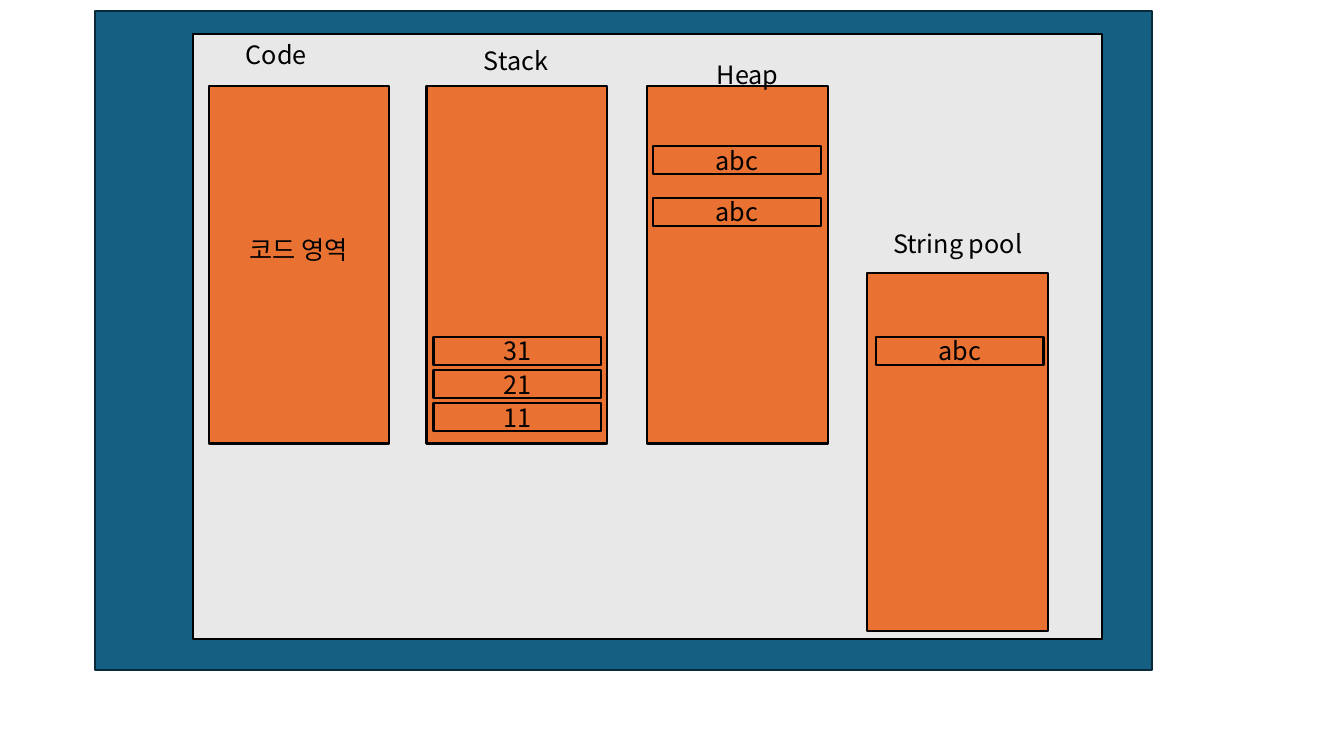
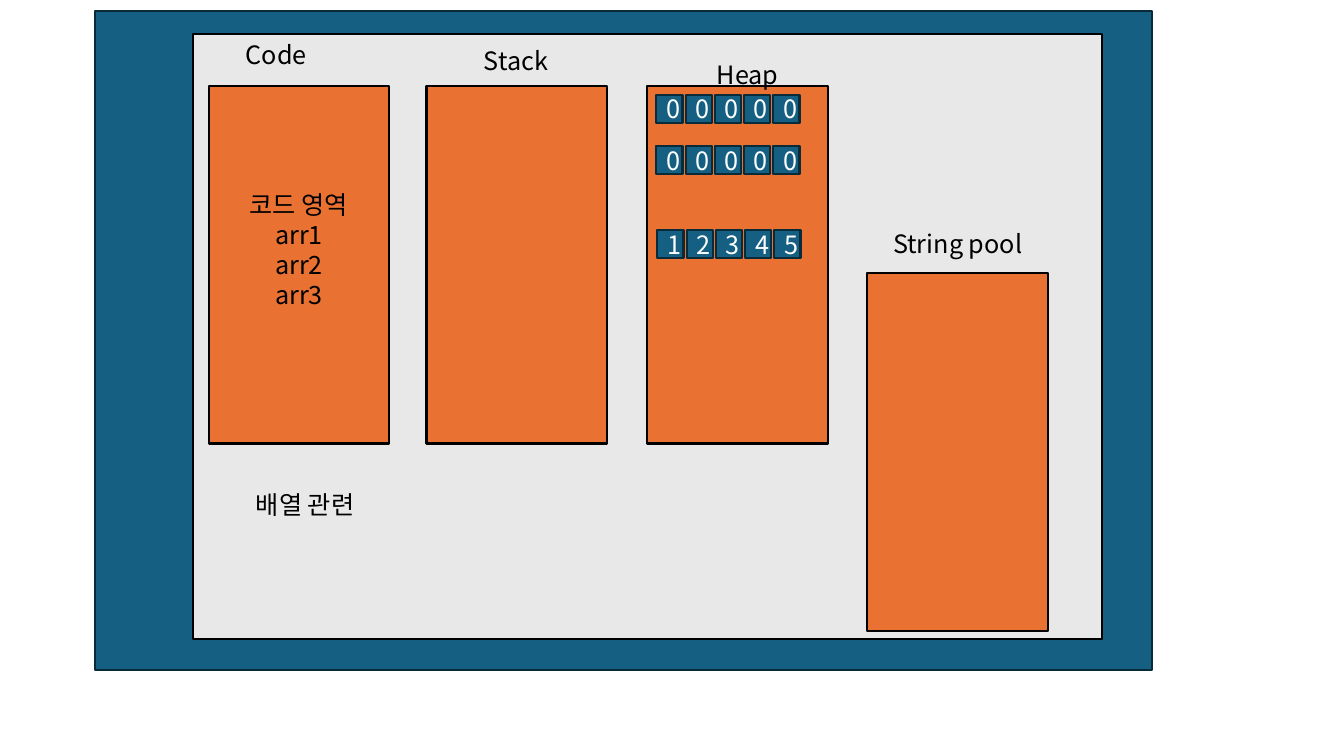
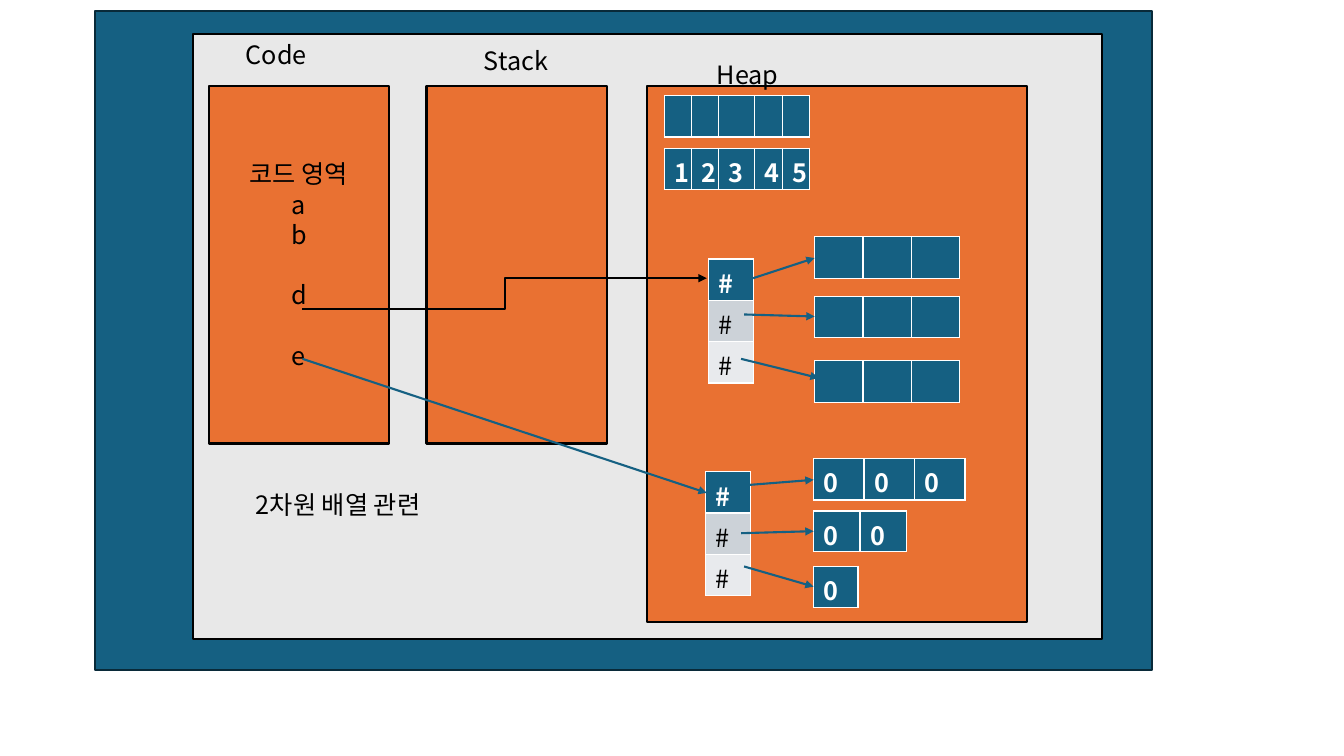
from lxml import etree
from pptx import Presentation
from pptx.dml.color import RGBColor
from pptx.enum.shapes import MSO_CONNECTOR, MSO_SHAPE
from pptx.enum.text import MSO_ANCHOR, MSO_AUTO_SIZE, PP_ALIGN
from pptx.oxml.ns import qn
from pptx.util import Inches, Pt

BLUE = RGBColor(0x15, 0x60, 0x82)
NAVY = RGBColor(0x09, 0x2A, 0x39)
ORANGE = RGBColor(0xE9, 0x71, 0x32)
PALE = RGBColor(0xE8, 0xE8, 0xE8)
BAND_DARK = RGBColor(0xCC, 0xD2, 0xD8)
BAND_LIGHT = RGBColor(0xE8, 0xEA, 0xED)
BLACK = RGBColor(0, 0, 0)
WHITE = RGBColor(0xFF, 0xFF, 0xFF)

RECTANGLE = MSO_SHAPE.RECTANGLE
STRAIGHT = MSO_CONNECTOR.STRAIGHT
ELBOW = MSO_CONNECTOR.ELBOW
CENTER = PP_ALIGN.CENTER
MIDDLE = MSO_ANCHOR.MIDDLE
FIT_TEXT = MSO_AUTO_SIZE.SHAPE_TO_FIT_TEXT

FONT = "Noto Sans CJK KR"
TEXT_SIZE = Pt(18)
LINE_WIDTH = Pt(1.5)
TEXT_LINE = 0.3
AREA_WIDTH, AREA_HEIGHT, AREA_TOP = 1.79, 3.55, 0.85
CODE_LEFT, STACK_LEFT, HEAP_LEFT = 2.07, 4.23, 6.42
POOL_LEFT, POOL_TOP = 8.6, 2.71
SLOT_WIDTH, SLOT_HEIGHT = 1.66, 0.28
ELEMENT_WIDTH, ELEMENT_PITCH = 0.26, 0.29
ROW_HEIGHT = 0.41


def style_text(frame, color, bold=False):
    for para in frame.paragraphs:
        for span in para.runs:
            span.font.size = TEXT_SIZE
            span.font.bold = bold
            span.font.color.rgb = color
            span.font.name = FONT
            east_asian = etree.SubElement(span.font._element, qn("a:ea"))
            east_asian.set("typeface", FONT)


def add_box(page, left, top, width, height, fill, line=BLACK, text="", color=BLACK):
    box = page.shapes.add_shape(
        RECTANGLE, Inches(left), Inches(top), Inches(width), Inches(height))
    box.shadow.inherit = False
    box.fill.solid()
    box.fill.fore_color.rgb = fill
    box.line.color.rgb = line
    box.line.width = LINE_WIDTH
    if text:
        frame = box.text_frame
        frame.text = text
        frame.vertical_anchor = MIDDLE
        for para in frame.paragraphs:
            para.alignment = CENTER
        style_text(frame, color)
    return box


def add_label(page, text, left, top, width=1.62):
    label = page.shapes.add_textbox(
        Inches(left), Inches(top), Inches(width), Inches(0.4))
    frame = label.text_frame
    frame.word_wrap = True
    frame.auto_size = FIT_TEXT
    frame.text = text
    style_text(frame, BLACK)


def add_arrow(page, start, end, color=BLUE, kind=STRAIGHT):
    points = [Inches(length) for length in (*start, *end)]
    arrow = page.shapes.add_connector(kind, *points)
    arrow.line.color.rgb = color
    arrow.line.width = LINE_WIDTH
    head = etree.SubElement(arrow.line._get_or_add_ln(), qn("a:tailEnd"))
    head.set("type", "triangle")
    etree.SubElement(arrow._element.spPr, qn("a:effectLst"))


def add_grid(page, left, top, widths, rows, fills=(BLUE,), row_height=ROW_HEIGHT):
    """Add a table whose first row is a bold header, with one fill per row."""
    table = page.shapes.add_table(
        len(rows), len(widths), Inches(left), Inches(top),
        Inches(sum(widths)), Inches(row_height * len(rows))).table
    for column, width in zip(table.columns, widths):
        column.width = Inches(width)
    for row_index, (values, fill) in enumerate(zip(rows, fills)):
        header = row_index == 0
        for column_index, value in enumerate(values):
            cell = table.cell(row_index, column_index)
            cell.fill.solid()
            cell.fill.fore_color.rgb = fill
            if value:
                cell.text_frame.text = value
                style_text(cell.text_frame, WHITE if header else BLACK, header)


def add_slot(page, left, top, text):
    add_box(page, left, top, SLOT_WIDTH, SLOT_HEIGHT, ORANGE, text=text)


def add_array(page, left, top, values):
    for index, value in enumerate(values):
        add_box(page, left + index * ELEMENT_PITCH, top, ELEMENT_WIDTH,
                SLOT_HEIGHT, BLUE, NAVY, value, WHITE)


def add_references(page, left, top):
    """Add the column of references to the rows of a two-dimensional array."""
    add_grid(page, left, top, [0.44], ["#"] * 3, (BLUE, BAND_DARK, BAND_LIGHT))


def add_memory(deck, code_text, heap_size=(AREA_WIDTH, AREA_HEIGHT), pool=True):
    """Start a page with the memory areas; return the page and its code area."""
    page = deck.slides.add_slide(deck.slide_layouts[6])
    add_box(page, 0.94, 0.11, 10.49, 6.54, BLUE, NAVY)
    add_box(page, 1.91, 0.34, 9.02, 6, PALE)
    code = add_box(page, CODE_LEFT, AREA_TOP, AREA_WIDTH, AREA_HEIGHT, ORANGE,
                   text=code_text)
    add_box(page, STACK_LEFT, AREA_TOP, AREA_WIDTH, AREA_HEIGHT, ORANGE)
    add_box(page, HEAP_LEFT, AREA_TOP, *heap_size, ORANGE)
    add_label(page, "Code", 2.34, 0.34)
    add_label(page, "Stack", 4.7, 0.4)
    add_label(page, "Heap", 7.01, 0.54)
    if pool:
        add_box(page, POOL_LEFT, POOL_TOP, AREA_WIDTH, AREA_HEIGHT, ORANGE)
        add_label(page, "String pool", 8.76, 2.22)
    return page, code


def raise_text(box):
    """Lift centred text by half a line."""
    box.text_frame.margin_bottom = Inches(0.05 + TEXT_LINE)


def build_strings(deck):
    page, code = add_memory(deck, "코드 영역")
    raise_text(code)
    for index, value in enumerate(("11", "21", "31")):
        add_slot(page, 4.3, 4 - index * 0.33, value)
    for left, top in ((6.48, 1.45), (6.48, 1.96), (8.69, 3.34)):
        add_slot(page, left, top, "abc")


def build_arrays(deck):
    page, code = add_memory(deck, "코드 영역\narr1\narr2\narr3")
    raise_text(code)
    add_array(page, 6.51, 0.94, "00000")
    add_array(page, 6.51, 1.45, "00000")
    add_array(page, 6.52, 2.28, "12345")
    add_label(page, "배열 관련", 2.44, 4.81, 2.44)


def build_nested_arrays(deck):
    page, code = add_memory(deck, "코드 영역\na\nb\nd\ne", (3.77, 5.32), pool=False)
    for para in code.text_frame.paragraphs[3:]:
        para.space_before = Inches(TEXT_LINE)
    add_label(page, "2차원 배열 관련", 2.44, 4.81, 2.44)

    flat_widths = [0.27, 0.27, 0.35, 0.28, 0.27]
    add_grid(page, 6.59, 0.95, flat_widths, [[""] * 5])
    add_grid(page, 6.59, 1.47, flat_widths, ["12345"])

    for top in (2.35, 2.94, 3.58):
        add_grid(page, 8.08, top, [0.48] * 3, [[""] * 3])
    add_references(page, 7.03, 2.57)

    add_references(page, 7, 4.68)
    add_grid(page, 8.07, 4.55, [0.5] * 3, ["000"])
    add_grid(page, 8.07, 5.07, [0.46] * 2, ["00"], row_height=0.4)
    add_grid(page, 8.07, 5.62, [0.44], ["0"])

    add_arrow(page, (3, 3.07), (7.01, 2.76), BLACK, ELBOW)
    for start, end in (
        ((7.47, 2.76), (8.08, 2.56)),
        ((7.38, 3.12), (8.08, 3.14)),
        ((7.35, 3.56), (8.12, 3.75)),
        ((7.44, 4.81), (8.07, 4.76)),
        ((7.35, 5.29), (8.07, 5.27)),
        ((7.38, 5.62), (8.07, 5.82)),
        ((3, 3.56), (7.01, 4.89)),
    ):
        add_arrow(page, start, end)


def main():
    deck = Presentation()
    deck.slide_width = Inches(13.33)
    deck.slide_height = Inches(7.5)
    build_strings(deck)
    build_arrays(deck)
    build_nested_arrays(deck)
    deck.save("out.pptx")


if __name__ == "__main__":
    main()
